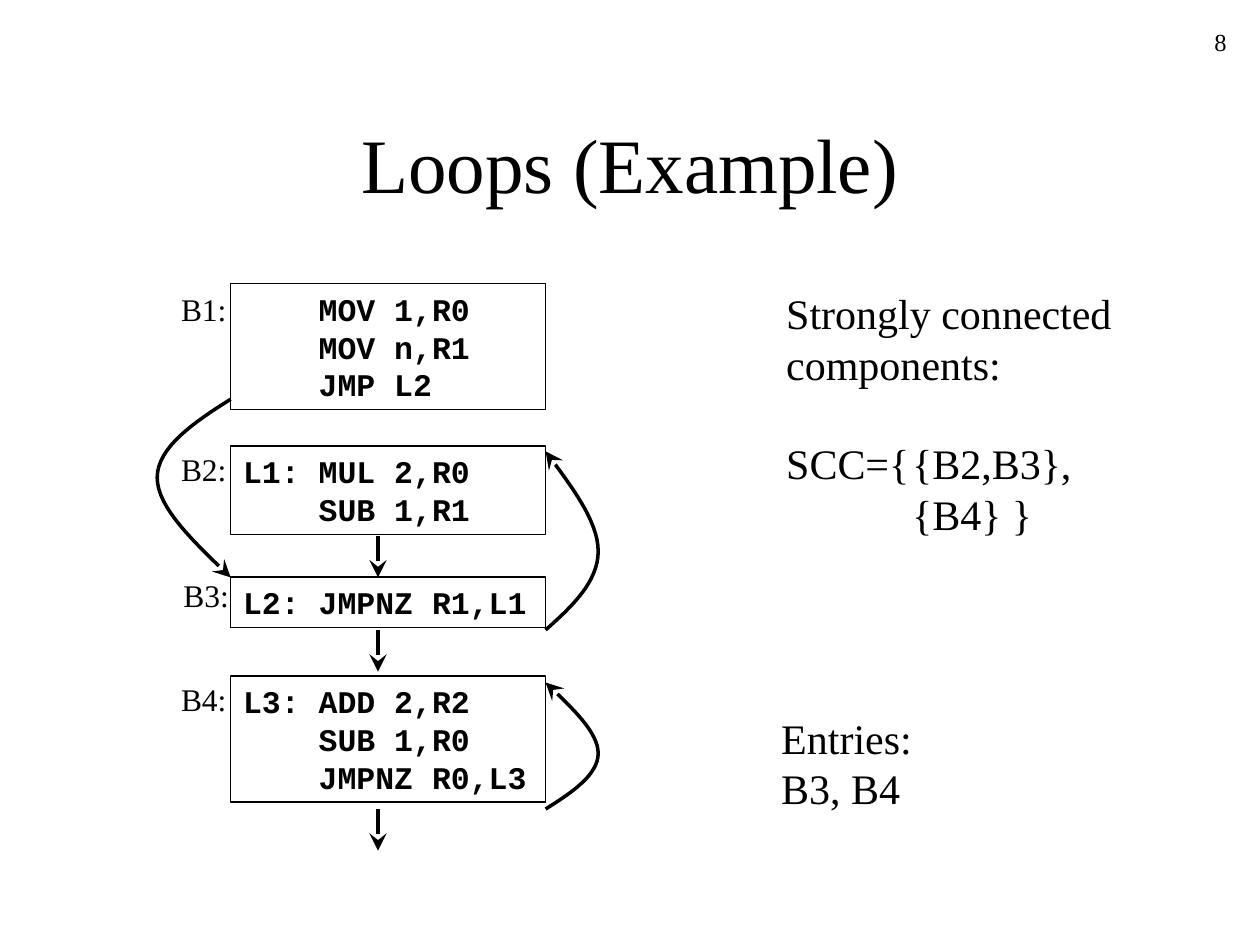
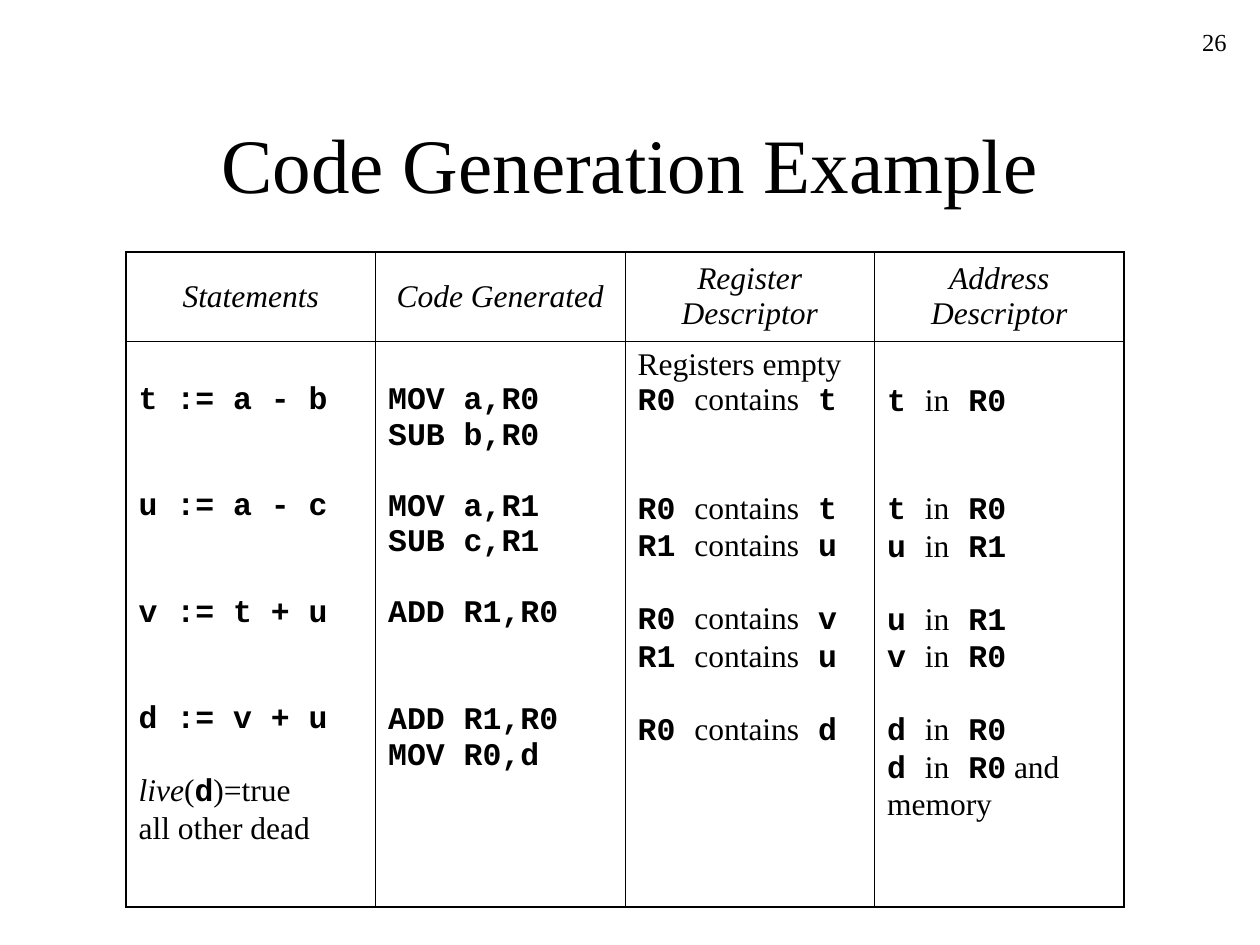
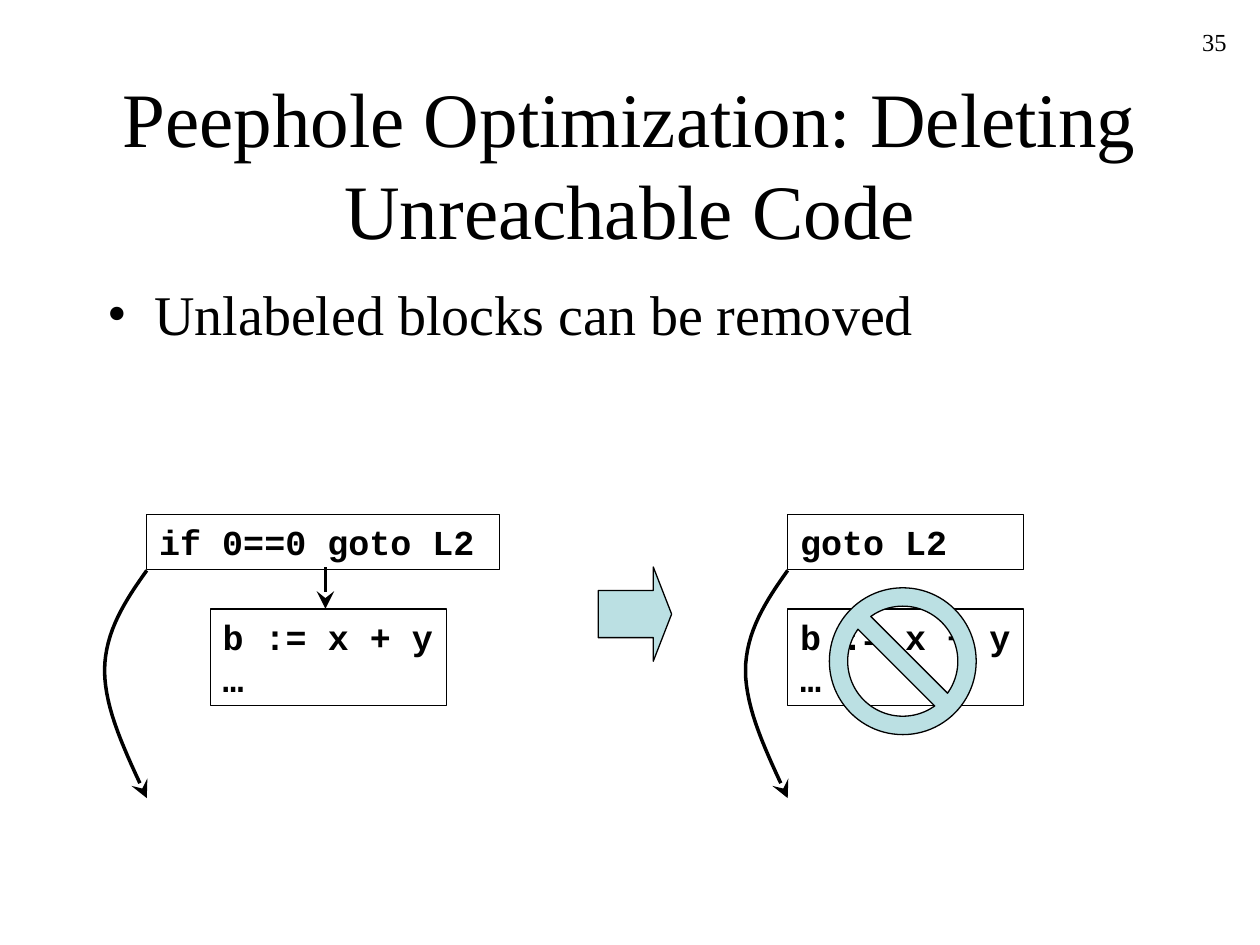
from pptx import Presentation
from pptx.dml.color import RGBColor
from pptx.enum.shapes import MSO_CONNECTOR, MSO_SHAPE
from pptx.enum.text import MSO_ANCHOR, MSO_AUTO_SIZE, PP_ALIGN
from pptx.oxml.ns import qn
from pptx.util import Cm, Pt
from lxml import etree

RECTANGLE = MSO_SHAPE.RECTANGLE
RIGHT_ARROW = MSO_SHAPE.RIGHT_ARROW
NO_SYMBOL = MSO_SHAPE.NO_SYMBOL
STRAIGHT = MSO_CONNECTOR.STRAIGHT
TOP, MIDDLE = MSO_ANCHOR.TOP, MSO_ANCHOR.MIDDLE
LEFT, CENTER, RIGHT = PP_ALIGN.LEFT, PP_ALIGN.CENTER, PP_ALIGN.RIGHT
NO_AUTOFIT = MSO_AUTO_SIZE.NONE

SERIF = "Times New Roman"
MONO = "Courier New"
BLACK = "000000"
PALE_TEAL = "BBE0E3"
BOX_LINE, ARROW_LINE = 0.75, 2
OUTER_BORDER, INNER_BORDER = 1.08, 0.45
LINE_HEIGHT = 20.2  # points, for 18 pt text

# Heights of the control points of a bend, as shares of its whole height
BEND_HEIGHTS = (0, 0.13, 0.27, 0.44, 0.61, 0.8, 1)
BEND_DEPTHS = (0, 0.5, 1, 1, 1, 0.5, 0)
BEND_STEPS = 16

BLOCKS = [  # label, label left and top, box top, box height, code
    ("B1:", 3.4, 5.72, 5.72, 2.54, "    MOV 1,R0\n    MOV n,R1\n    JMP L2"),
    ("B2:", 3.4, 8.94, 8.99, 1.78, "L1: MUL 2,R0\n    SUB 1,R1"),
    ("B3:", 3.45, 11.48, 11.63, 1.02, "L2: JMPNZ R1,L1"),
    ("B4:", 3.4, 13.59, 13.63, 2.54, "L3: ADD 2,R2\n    SUB 1,R0\n    JMPNZ R0,L3"),
]

HEADINGS = ["Statements", "Code Generated", "Register Descriptor", "Address Descriptor"]
# Empty lines above each line, then the line: `code`, *italic*, plain
STEPS = [
    [(1, "`t := a - b`"), (2, "`u := a - c`"), (2, "`v := t + u`"),
     (2, "`d := v + u`"), (1, "*live*(`d`)=true"), (0, "all other dead")],
    [(1, "`MOV a,R0`"), (0, "`SUB b,R0`"), (1, "`MOV a,R1`"), (0, "`SUB c,R1`"),
     (1, "`ADD R1,R0`"), (2, "`ADD R1,R0`"), (0, "`MOV R0,d`")],
    [(0, "Registers empty"), (0, "`R0 `contains` t`"), (2, "`R0 `contains` t`"),
     (0, "`R1 `contains` u`"), (1, "`R0 `contains` v`"), (0, "`R1 `contains` u`"),
     (1, "`R0 `contains` d`")],
    [(1, "`t `in` R0`"), (2, "`t `in` R0`"), (0, "`u `in` R1`"), (1, "`u `in` R1`"),
     (0, "`v `in` R0`"), (1, "`d `in` R0`"), (0, "`d `in` R0` and memory")],
]


def color(hex_string):
    return RGBColor.from_string(hex_string)


def style_font(font, size, name=SERIF, bold=False, italic=False):
    font.name, font.size = name, Pt(size)
    font.bold, font.italic = bold, italic
    font.color.rgb = color(BLACK)


def write_lines(frame, text, size, name=SERIF, bold=False, align=LEFT):
    frame.text = text
    for paragraph in frame.paragraphs:
        paragraph.alignment = align
        for run in paragraph.runs:
            style_font(run.font, size, name, bold)


def write_marked(paragraph, text):
    """Add runs for text in which `code` and *italic* are marked."""
    for i, piece in enumerate(text.split("`")):
        is_code = i % 2 == 1
        parts = [piece] if is_code else piece.split("*")
        for j, part in enumerate(parts):
            if part:
                run = paragraph.add_run()
                run.text = part
                style_font(run.font, 18, MONO if is_code else SERIF,
                           bold=is_code, italic=j % 2 == 1)


def add_text(slide, text, left, top, width, height, size, align=LEFT):
    box = slide.shapes.add_textbox(Cm(left), Cm(top), Cm(width), Cm(height))
    box.text_frame.word_wrap = True
    write_lines(box.text_frame, text, size, align=align)
    return box.text_frame


def add_titled_slide(deck, title_text, number):
    slide = deck.slides.add_slide(deck.slide_layouts[5])
    title = slide.shapes.title
    title.left, title.top, title.width, title.height = Cm(1.9), Cm(1.69), Cm(21.6), Cm(3.18)
    frame = title.text_frame
    frame.auto_size, frame.vertical_anchor = NO_AUTOFIT, MIDDLE
    write_lines(frame, title_text, 44, align=CENTER)
    add_text(slide, str(number), 19.69, 0.42, 5.29, 1.27, 14, RIGHT)
    return slide


def add_outlined(slide, kind, left, top, width, height, fill=None):
    shape = slide.shapes.add_shape(kind, Cm(left), Cm(top), Cm(width), Cm(height))
    shape.shadow.inherit = False
    if fill:
        shape.fill.solid()
        shape.fill.fore_color.rgb = color(fill)
    else:
        shape.fill.background()
    shape.line.color.rgb = color(BLACK)
    shape.line.width = Pt(BOX_LINE)
    return shape


def add_code_box(slide, code, left, top, width, height, size):
    frame = add_outlined(slide, RECTANGLE, left, top, width, height).text_frame
    frame.word_wrap, frame.vertical_anchor = True, TOP
    frame.margin_right = 0
    write_lines(frame, code, size, MONO, bold=True)


def finish_arrow(arrow):
    arrow.line.color.rgb = color(BLACK)
    arrow.line.width = Pt(ARROW_LINE)
    properties = arrow.element.spPr
    etree.SubElement(properties.find(qn("a:ln")), qn("a:tailEnd"),
                     type="stealth", w="lg", len="lg")
    if properties.find(qn("a:effectLst")) is None:
        etree.SubElement(properties, qn("a:effectLst"))


def add_down_arrow(slide, x, top):
    finish_arrow(slide.shapes.add_connector(STRAIGHT, Cm(x), Cm(top), Cm(x), Cm(top + 0.84)))


def bezier(controls, t):
    a, b, c, d = controls
    s = 1 - t
    return s**3 * a + 3 * s**2 * t * b + 3 * s * t**2 * c + t**3 * d


def add_bend(slide, x, start, end, depth):
    """Draw a curved arrow between two heights at x, bulging by depth."""
    xs = [x + depth * share for share in BEND_DEPTHS]
    ys = [start + (end - start) * share for share in BEND_HEIGHTS]
    points = [(Cm(bezier(xs[k:k + 4], step / BEND_STEPS)),
               Cm(bezier(ys[k:k + 4], step / BEND_STEPS)))
              for k in (0, 3) for step in range(1, BEND_STEPS + 1)]
    builder = slide.shapes.build_freeform(Cm(x), Cm(start))
    builder.add_line_segments(points, close=False)
    curve = builder.convert_to_shape()
    curve.shadow.inherit = False
    curve.fill.background()
    finish_arrow(curve)


def set_borders(cell, widths):
    properties = cell._tc.get_or_add_tcPr()
    for side, width in zip("LRTB", widths):
        line = etree.SubElement(properties, qn("a:ln" + side), w=str(Pt(width)))
        fill = etree.SubElement(line, qn("a:solidFill"))
        etree.SubElement(fill, qn("a:srgbClr"), val=BLACK)


def add_step_table(slide):
    count = len(HEADINGS)
    table = slide.shapes.add_table(2, count, Cm(2.54), Cm(5.08), Cm(20.12), Cm(13.2)).table
    table.first_row = table.horz_banding = False
    table.rows[0].height, table.rows[1].height = Cm(1.8), Cm(11.4)
    for column, (heading, steps) in enumerate(zip(HEADINGS, STEPS)):
        table.columns[column].width = Cm(5.03)
        for row in range(2):
            cell = table.cell(row, column)
            on_edge = (column == 0, column == count - 1, row == 0, row == 1)
            set_borders(cell, [OUTER_BORDER if edge else INNER_BORDER for edge in on_edge])
            cell.fill.background()
            cell.margin_top = cell.margin_bottom = Cm(0.13)

        header, body = table.cell(0, column), table.cell(1, column)
        header.vertical_anchor = MIDDLE
        header.text_frame.paragraphs[0].alignment = CENTER
        write_marked(header.text_frame.paragraphs[0], f"*{heading}*")

        body.margin_top = Cm(0.13) + Pt(steps[0][0] * LINE_HEIGHT)
        for i, (gap, text) in enumerate(steps):
            frame = body.text_frame
            paragraph = frame.add_paragraph() if i else frame.paragraphs[0]
            if i and gap:
                paragraph.space_before = Pt(gap * LINE_HEIGHT)
            write_marked(paragraph, text)


def add_tab_stop(paragraph, position):
    tabs = etree.SubElement(paragraph._p.get_or_add_pPr(), qn("a:tabLst"))
    etree.SubElement(tabs, qn("a:tab"), pos=str(Cm(position)), algn="l")


def add_bullet(paragraph, indent):
    properties = paragraph._p.get_or_add_pPr()
    properties.set("marL", str(Cm(indent)))
    properties.set("indent", str(-Cm(indent)))
    etree.SubElement(properties, qn("a:buFont"), typeface=SERIF)
    etree.SubElement(properties, qn("a:buChar"), char="•")


def build_loops(deck):
    slide = add_titled_slide(deck, "Loops (Example)", 8)
    for label, label_left, label_top, top, height, code in BLOCKS:
        add_code_box(slide, code, 4.65, top, 6.35, height, 18)
        add_text(slide, label, label_left, label_top, 1.6, 1.02, 18)
    for top in (10.8, 12.7, 16.31):
        add_down_arrow(slide, 7.62, top)
    add_bend(slide, 4.65, 8.05, 11.64, -1.48)
    add_bend(slide, 11, 12.7, 9.1, 1.06)
    add_bend(slide, 11, 16.31, 13.76, 1.06)

    components = add_text(
        slide, "Strongly connected\ncomponents:\nSCC={\t{B2,B3},\n\t{B4} }",
        15.6, 5.68, 7.4, 5.33, 24)
    for set_line in components.paragraphs[2:]:
        add_tab_stop(set_line, 2.54)
    components.paragraphs[2].space_before = Pt(28)
    add_text(slide, "Entries:\nB3, B4", 15.5, 14.24, 3.6, 2.29, 24)


def build_code_generation(deck):
    add_step_table(add_titled_slide(deck, "Code Generation Example", 26))


def build_unreachable_code(deck):
    slide = add_titled_slide(deck, "Peephole Optimization: Deleting Unreachable Code", 35)
    rule = add_text(slide, "Unlabeled blocks can be removed", 1.91, 5.52, 21.6, 11.43, 32)
    add_bullet(rule.paragraphs[0], 0.95)

    for jump, left, width, dead_left in (("if 0==0 goto L2", 2.96, 7.11, 4.24),
                                         ("goto L2", 15.88, 4.76, 15.88)):
        add_code_box(slide, "b := x + y\n…", dead_left, 12.28, 4.76, 1.95, 20)
        add_code_box(slide, jump, left, 10.37, width, 1.11, 20)
        add_bend(slide, left, 11.5, 16.09, -0.85)
    add_down_arrow(slide, 6.56, 11.43)

    becomes = add_outlined(slide, RIGHT_ARROW, 12.06, 11.43, 1.48, 1.9, PALE_TEAL)
    becomes.adjustments[0], becomes.adjustments[1] = 0.5, 0.25
    deleted = add_outlined(slide, NO_SYMBOL, 16.72, 11.85, 2.96, 2.96, PALE_TEAL)
    deleted.adjustments[0] = 0.125


def main():
    deck = Presentation()
    deck.slide_width, deck.slide_height = Cm(25.4), Cm(19.05)
    build_loops(deck)
    build_code_generation(deck)
    build_unreachable_code(deck)
    deck.save("out.pptx")


if __name__ == "__main__":
    main()
